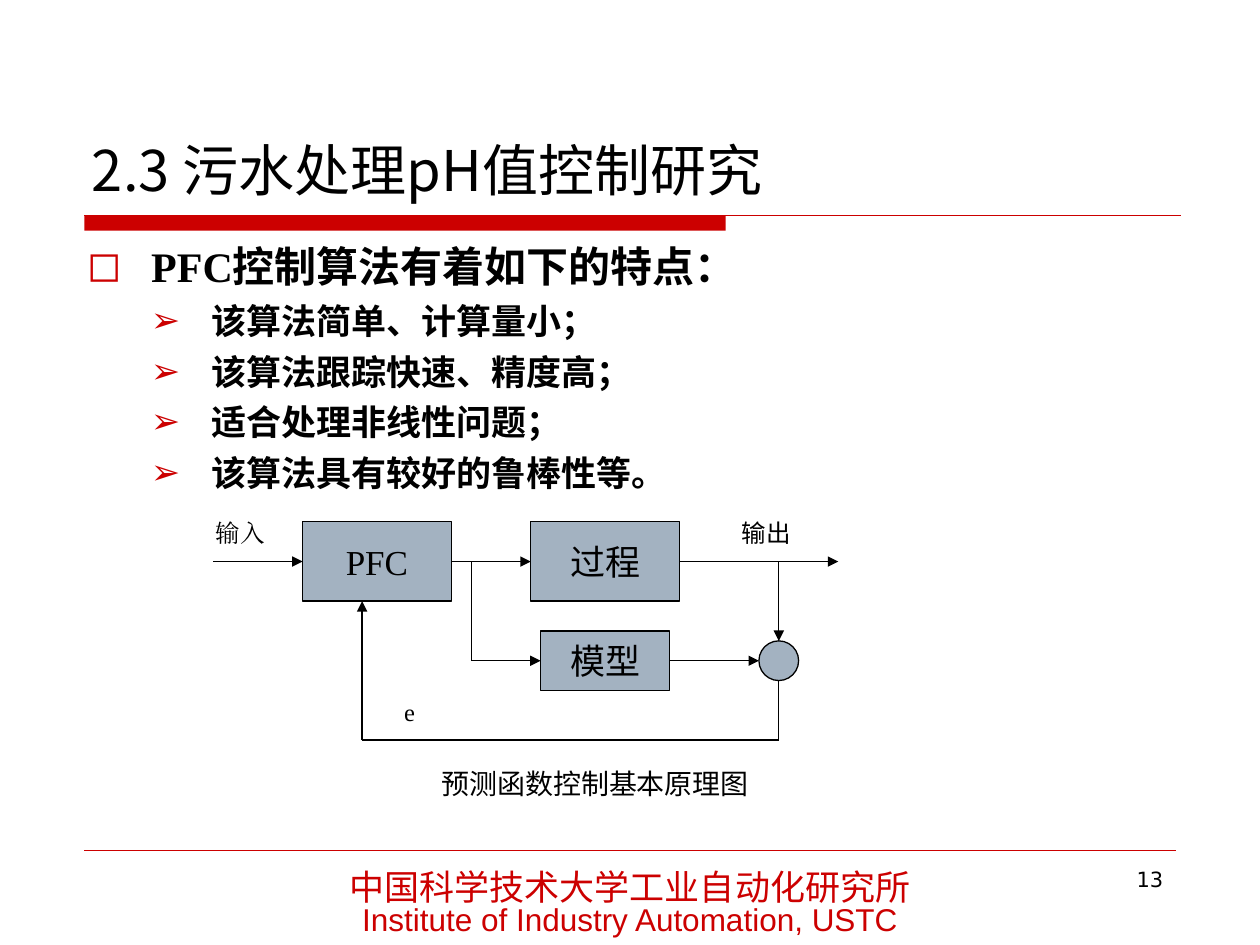
from lxml.etree import SubElement
from pptx import Presentation
from pptx.dml.color import RGBColor
from pptx.enum.shapes import MSO_CONNECTOR, MSO_SHAPE
from pptx.enum.text import MSO_ANCHOR, PP_ALIGN
from pptx.oxml.ns import qn
from pptx.util import Cm, Pt

RED, BLACK, STEEL = "CC0000", "000000", "A3B2C1"
SANS, SERIF, CJK = "DejaVu Sans", "Times New Roman", "Noto Sans CJK SC"
TOP, LEFT, BOTTOM, RIGHT = range(4)


def paint(color_format, color):
    """Apply a hex colour to a fill or a font colour."""
    color_format.rgb = RGBColor.from_string(color)


def style_font(font, name, size, color=BLACK, bold=False):
    """Set one typeface for Latin and East Asian text, with size and colour."""
    font.name, font.size, font.bold = name, Pt(size), bold
    paint(font.color, color)
    latin = font._element.find(qn("a:latin"))
    east_asian = latin.makeelement(qn("a:ea"), {"typeface": name})
    latin.addnext(east_asian)


def add_bullet(paragraph, symbol, margin, hanging):
    """Give a paragraph a red bullet and a hanging indent."""
    properties = paragraph._p.get_or_add_pPr()
    properties.set("marL", str(Cm(margin)))
    properties.set("indent", str(-Cm(hanging)))
    SubElement(SubElement(properties, qn("a:buClr")), qn("a:srgbClr"), val=RED)
    SubElement(properties, qn("a:buFont"), typeface=SANS)
    SubElement(properties, qn("a:buChar"), char=symbol)


def add_frame(slide, left, top, width, height):
    """Add a wrapping text box and return its text frame."""
    frame = slide.shapes.add_textbox(Cm(left), Cm(top), Cm(width), Cm(height)).text_frame
    frame.word_wrap = True
    return frame


def add_label(slide, box, text, font, size, align=PP_ALIGN.LEFT):
    """Add a one-line text box."""
    paragraph = add_frame(slide, *box).paragraphs[0]
    paragraph.text, paragraph.alignment = text, align
    style_font(paragraph.font, font, size)


def add_line(slide, start, end, color=BLACK, width=0.75, arrow=False, source=None, target=None):
    """Draw a straight line, optionally with an arrowhead and joined ends."""
    line = slide.shapes.add_connector(
        MSO_CONNECTOR.STRAIGHT, *[Cm(value) for value in (*start, *end)])
    if source:
        line.begin_connect(*source)
    if target:
        line.end_connect(*target)
    paint(line.line.color, color)
    line.line.width = Pt(width)
    if arrow:
        SubElement(line.line._get_or_add_ln(), qn("a:tailEnd"), type="triangle")
    SubElement(line._element.spPr, qn("a:effectLst"))


def add_block(slide, kind, left, top, width, height, text="", font=SANS):
    """Draw a diagram node with a centred caption."""
    block = slide.shapes.add_shape(kind, Cm(left), Cm(top), Cm(width), Cm(height))
    block.shadow.inherit = False
    block.fill.solid()
    paint(block.fill.fore_color, STEEL)
    paint(block.line.color, BLACK)
    block.line.width = Pt(0.75)
    if text:
        frame = block.text_frame
        frame.word_wrap = False
        frame.vertical_anchor = MSO_ANCHOR.MIDDLE
        caption = frame.paragraphs[0]
        caption.text, caption.alignment = text, PP_ALIGN.CENTER
        style_font(caption.font, font, 20)
    return block


def build_header(slide, left, top, width, height):
    """Place the title and the red rule below it."""
    title = slide.shapes.title
    title.left, title.top, title.width, title.height = Cm(left), Cm(top), Cm(width), Cm(height)
    title.text_frame.vertical_anchor = MSO_ANCHOR.BOTTOM
    heading = title.text_frame.paragraphs[0]
    heading.text, heading.alignment = "2.3 污水处理pH值控制研究", PP_ALIGN.LEFT
    style_font(heading.font, CJK, 32)
    rule_left, rule_top = left + 0.1, top + height + 0.13
    bar = slide.shapes.add_shape(
        MSO_SHAPE.RECTANGLE, Cm(rule_left), Cm(rule_top), Cm(12.93), Cm(0.3))
    bar.shadow.inherit = False
    bar.fill.solid()
    paint(bar.fill.fore_color, RED)
    bar.line.fill.background()
    add_line(slide, (rule_left, rule_top), (rule_left + 22.1, rule_top), RED)


def build_features(slide, left, top, width, height):
    """List the features of the algorithm."""
    frame = add_frame(slide, left, top, width, height)
    heading = frame.paragraphs[0]
    add_bullet(heading, "◻", 1.3, 1.3)
    for text, font in (("PFC", SERIF), ("控制算法有着如下的特点：", SANS)):
        run = heading.add_run()
        run.text = text
        style_font(run.font, font, 24, bold=True)
    for text in ("该算法简单、计算量小；", "该算法跟踪快速、精度高；",
                 "适合处理非线性问题；", "该算法具有较好的鲁棒性等。"):
        feature = frame.add_paragraph()
        feature.space_before = Pt(5)
        add_bullet(feature, "➢", 2.51, 1.22)
        feature.text = text
        style_font(feature.font, SANS, 20, bold=True)


def build_diagram(slide, left, top, width, height):
    """Draw the control loop, its labels and its caption."""
    def at(x, y):
        return left + x, top + y

    main_y, model_y, return_y = 0.8, 2.8, height
    feedback_x, branch_x, sum_x = 3, 5.2, 11.4
    box = MSO_SHAPE.RECTANGLE
    controller = add_block(slide, box, *at(1.8, 0), 3, 1.6, "PFC", SERIF)
    process = add_block(slide, box, *at(6.4, 0), 3, 1.6, "过程")
    model = add_block(slide, box, *at(6.6, 2.2), 2.6, 1.2, "模型")
    summing = add_block(slide, MSO_SHAPE.OVAL, *at(sum_x - 0.4, 2.4), 0.8, 0.8)

    flows = [
        ((0, main_y), (1.8, main_y), True, None, (controller, LEFT)),
        ((4.8, main_y), (6.4, main_y), True, (controller, RIGHT), (process, LEFT)),
        ((9.4, main_y), (width, main_y), True, (process, RIGHT), None),
        ((sum_x, main_y), (sum_x, 2.4), True, None, (summing, TOP)),
        ((branch_x, main_y), (branch_x, model_y), False, None, None),
        ((branch_x, model_y), (6.6, model_y), True, None, (model, LEFT)),
        ((9.2, model_y), (sum_x - 0.4, model_y), True, (model, RIGHT), None),
        ((sum_x, 3.2), (sum_x, return_y), False, None, None),
        ((sum_x, return_y), (feedback_x, return_y), False, None, None),
        ((feedback_x, return_y), (feedback_x, 1.6), True, None, None),
    ]
    for start, end, arrow, source, target in flows:
        add_line(slide, at(*start), at(*end), arrow=arrow, source=source, target=target)

    add_label(slide, (*at(-0.2, -0.2), 1.6, 0.86), "输入", SERIF, 14)
    add_label(slide, (*at(10.4, -0.2), 2.2, 0.86), "输出", SANS, 14)
    add_label(slide, (*at(3.6, 3.4), 0.8, 0.86), "e", SERIF, 14)
    add_label(slide, (*at(3, 4.8), 9.4, 0.94), "预测函数控制基本原理图", SANS, 16, PP_ALIGN.CENTER)


def build_footer(slide, left, top, width):
    """Place the footer rule, the institute name and the page number."""
    add_line(slide, (left, top), (left + width, top), RED, 0.25)
    frame = add_frame(slide, left + 4.9, top + 0.33, 12.2, 1.55)
    names = (("中国科学技术大学工业自动化研究所", CJK, 20),
             ("Institute of Industry Automation, USTC", "Arial", 18))
    for index, (text, font, size) in enumerate(names):
        name = frame.add_paragraph() if index else frame.paragraphs[0]
        name.text, name.alignment, name.line_spacing = text, PP_ALIGN.CENTER, 0.8
        style_font(name.font, font, size, RED)
    add_label(slide, (left + 16.5, top + 0.2, 5.5, 1.32), "13", SANS, 12, PP_ALIGN.RIGHT)


def main():
    """Build and save the slide."""
    deck = Presentation()
    deck.slide_width, deck.slide_height = Cm(25.4), Cm(19.05)
    slide = deck.slides.add_slide(deck.slide_layouts[5])
    build_header(slide, 1.6, 0.84, 22.22, 3.38)
    build_features(slide, 1.5, 4.72, 22.22, 5.87)
    build_diagram(slide, 4.3, 10.52, 12.6, 4.4)
    build_footer(slide, 1.7, 17.15, 22)
    deck.save("out.pptx")


if __name__ == "__main__":
    main()
